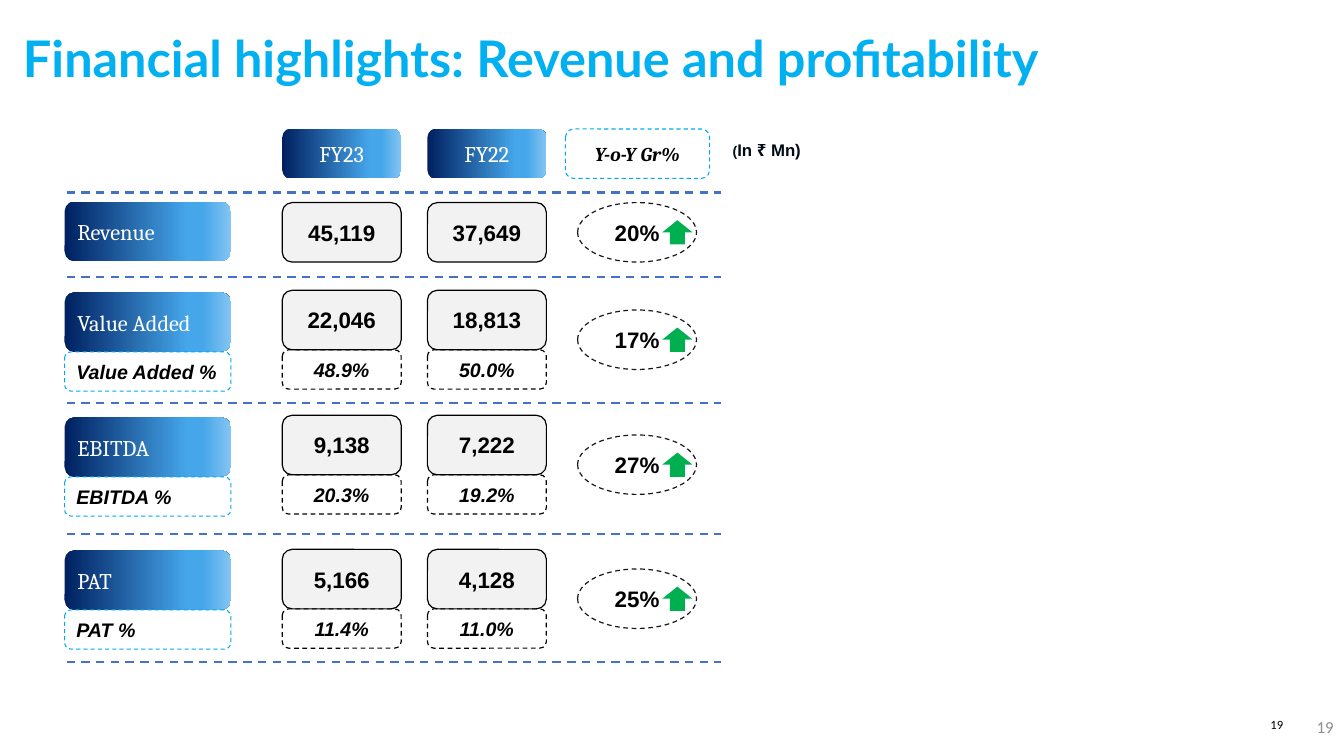
import pptx
import pptx.util
import pptx.dml.color
import pptx.enum.dml
import pptx.enum.shapes
import pptx.enum.text
import pptx.oxml
import pptx.oxml.ns
from lxml import etree

SHAPE = pptx.enum.shapes.MSO_SHAPE
ALIGN = pptx.enum.text.PP_ALIGN
ANCHOR = pptx.enum.text.MSO_ANCHOR
COLUMNS, ROWS = 133.33, 75
LABEL_COL, LABEL_W = 6.4, 16.5
YEAR_COLS, YEAR_W = (28, 42.4), 11.8
GROWTH_COL = 57.3
MAIN_H, RATIO_H, HEADER_H = 5.9, 3.9, 4.9
HEADER_ROW = 12.8
RULES = (19.1, 27.5, 40, 53, 65.7)
BLUE_STOPS = ((0, "002060"), (74, "45A6EA"), (83, "45A6EA"), (100, "83C4F1"))
METRICS = (
    ("Revenue", 20, 20.1, ("45,119", "37,649"), (), "20%"),
    ("Value Added", 29, 28.8, ("22,046", "18,813"), ("48.9%", "50.0%"), "17%"),
    ("EBITDA", 41.4, 41.2, ("9,138", "7,222"), ("20.3%", "19.2%"), "27%"),
    ("PAT", 54.6, 54.5, ("5,166", "4,128"), ("11.4%", "11.0%"), "25%"),
)


def grid(n):
    return pptx.util.Inches(n / 10)


def color(value):
    return pptx.dml.color.RGBColor.from_string(value)


def write(sp, runs, font, ink, align=ALIGN.LEFT, bold=False, italic=False,
          gap=0, anchor=ANCHOR.MIDDLE):
    tf = sp.text_frame
    tf.word_wrap = True
    tf.vertical_anchor = anchor
    p = tf.paragraphs[0]
    p.alignment = align
    p.space_after = pptx.util.Pt(gap)
    for text, size in runs:
        r = p.add_run()
        r.text = text
        r.font.name = font
        r.font.size = pptx.util.Pt(size)
        r.font.bold = bold
        r.font.italic = italic
        r.font.color.rgb = color(ink)


def set_line(line, ink, width, dashed):
    line.color.rgb = color(ink)
    line.width = pptx.util.Pt(width)
    if dashed:
        line.dash_style = pptx.enum.dml.MSO_LINE.DASH


def add_shape(s, kind, col, row, w, h, fill=None, ink=None, width=0.85, dashed=False):
    sp = s.shapes.add_shape(kind, grid(col), grid(row), grid(w), grid(h))
    sp.shadow.inherit = False
    if fill:
        sp.fill.solid()
        sp.fill.fore_color.rgb = color(fill)
    else:
        sp.fill.background()
    if ink:
        set_line(sp.line, ink, width, dashed)
    else:
        sp.line.fill.background()
    return sp


def add_blue_box(s, text, col, row, w, h, align):
    sp = add_shape(s, SHAPE.ROUNDED_RECTANGLE, col, row, w, h)
    sp.fill.gradient()
    sp.fill.gradient_angle = 0
    qn = pptx.oxml.ns.qn
    stops = sp.fill._fill._gradFill.find(qn("a:gsLst"))
    for stop in list(stops):
        stops.remove(stop)
    for position, value in BLUE_STOPS:
        stop = etree.SubElement(stops, qn("a:gs"), pos=str(position * 1000))
        etree.SubElement(stop, qn("a:srgbClr"), val=value)
    write(sp, [(text, 16)], "Cambria", "FFFFFF", align)


def add_value(s, text, col, row):
    sp = add_shape(s, SHAPE.ROUNDED_RECTANGLE, col, row, YEAR_W, MAIN_H, "F2F2F2", "000000")
    write(sp, [(text, 16)], "Arial", "000000", ALIGN.CENTER, bold=True, gap=3)


def add_dashed_box(s, text, col, row, w, h, ink, width, align, font="Arial"):
    sp = add_shape(s, SHAPE.ROUNDED_RECTANGLE, col, row, w, h, None, ink, width, True)
    write(sp, [(text, 14)], font, "000000", align, bold=True, italic=True, gap=3)


def add_growth(s, text, row):
    sp = add_shape(s, SHAPE.OVAL, GROWTH_COL, row, YEAR_W, MAIN_H, None, "181717", dashed=True)
    write(sp, [(text, 16)], "Arial", "000000", ALIGN.CENTER, bold=True, gap=3)
    add_shape(s, SHAPE.UP_ARROW, GROWTH_COL + 8.4, row + 1.75, 3, 2.4, "00B050")


def add_rule(s, row):
    cn = s.shapes.add_connector(pptx.enum.shapes.MSO_CONNECTOR.STRAIGHT,
                                grid(6.6), grid(row), grid(71.5), grid(row))
    set_line(cn.line, "4472C4", 1.5, True)
    etree.SubElement(cn._element.spPr, pptx.oxml.ns.qn("a:effectLst"))


def add_text(s, runs, col, row, w, h, font, ink, inset=True, **style):
    sp = s.shapes.add_textbox(grid(col), grid(row), grid(w), grid(h))
    write(sp, runs, font, ink, **style)
    if not inset:
        tf = sp.text_frame
        tf.margin_left = tf.margin_right = tf.margin_top = tf.margin_bottom = 0


def add_metric(s, label, label_row, row, values, ratios, growth):
    add_blue_box(s, label, LABEL_COL, label_row, LABEL_W, MAIN_H, ALIGN.LEFT)
    for col, value in zip(YEAR_COLS, values):
        add_value(s, value, col, row)
    for col, ratio in zip(YEAR_COLS, ratios):
        add_dashed_box(s, ratio, col, row + MAIN_H, YEAR_W, RATIO_H,
                       "000000", 0.85, ALIGN.CENTER)
    if ratios:
        add_dashed_box(s, label + " %", LABEL_COL, label_row + MAIN_H, LABEL_W, RATIO_H,
                       "00A9F4", 0.75, ALIGN.LEFT)
    add_growth(s, growth, row + (RATIO_H / 2 if ratios else 0))


def main():
    prs = pptx.Presentation()
    prs.slide_width = grid(COLUMNS)
    prs.slide_height = grid(ROWS)
    s = prs.slides.add_slide(prs.slide_layouts[6])
    add_text(s, [("Financial highlights: Revenue and profitability", 36)],
             1.3, 2.2, 121.7, 7.1, "Lato", "00B0F0", bold=True, anchor=ANCHOR.TOP)
    for col, year in zip(YEAR_COLS, ("FY23", "FY22")):
        add_blue_box(s, year, col, HEADER_ROW, YEAR_W, HEADER_H, ALIGN.CENTER)
    add_dashed_box(s, "Y-o-Y Gr%", 56.1, HEADER_ROW, 14.3, HEADER_H,
                   "00A9F4", 0.75, ALIGN.CENTER, "Cambria")
    add_text(s, [("(", 10), ("In ₹ Mn)", 12)], 71.7, 13.4, 10.7, 3,
             "Arial", "000B14", bold=True, anchor=ANCHOR.TOP)
    for row in RULES:
        add_rule(s, row)
    for metric in METRICS:
        add_metric(s, *metric)
    add_text(s, [("19", 9)], 123.7, 71.1, 3.6, 1.5, "Calibri", "000000",
             inset=False, align=ALIGN.RIGHT, anchor=ANCHOR.BOTTOM)
    add_text(s, [("19", 12)], 103.3, 70.1, 30, 4, "Calibri", "8C8C8C", align=ALIGN.RIGHT)
    prs.save("out.pptx")


if __name__ == "__main__":
    main()
